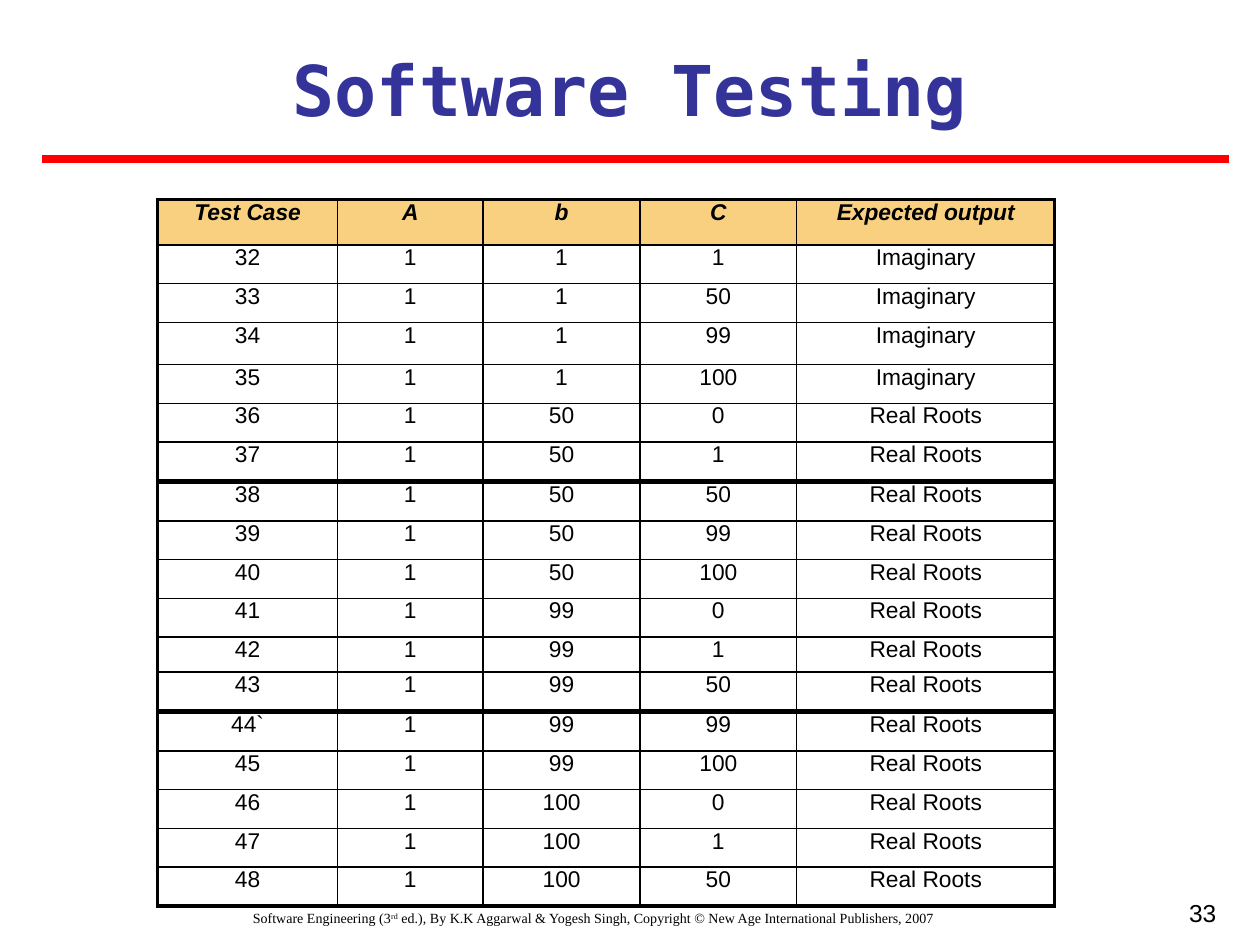
import lxml.etree
import pptx
import pptx.dml.color
import pptx.enum.shapes
import pptx.enum.text
import pptx.oxml.ns
import pptx.util

Cm = pptx.util.Cm
Pt = pptx.util.Pt
ALIGN = pptx.enum.text.PP_ALIGN
qn = pptx.oxml.ns.qn

BLACK = pptx.dml.color.RGBColor(0x00, 0x00, 0x00)
RED = pptx.dml.color.RGBColor(0xFF, 0x00, 0x00)
INDIGO = pptx.dml.color.RGBColor(0x33, 0x33, 0x99)
SAND = pptx.dml.color.RGBColor(0xF8, 0xD0, 0x80)

TABLE_LEFT = 3.18
COLUMN_WIDTHS = [3.62, 2.94, 3.16, 3.16, 5.2]
ROW_HEIGHT = 0.78
THIN, THICK = 1, 2.25

HEADER = ["Test Case", "A", "b", "C", "Expected output"]
FIRST_CASES = [
    HEADER,
    ["32", "1", "1", "1", "Imaginary"],
    ["33", "1", "1", "50", "Imaginary"],
    ["34", "1", "1", "99", "Imaginary"],
    ["35", "1", "1", "100", "Imaginary"],
    ["36", "1", "50", "0", "Real Roots"],
    ["37", "1", "50", "1", "Real Roots"],
]
MIDDLE_CASES = [
    ["38", "1", "50", "50", "Real Roots"],
    ["39", "1", "50", "99", "Real Roots"],
    ["40", "1", "50", "100", "Real Roots"],
    ["41", "1", "99", "0", "Real Roots"],
    ["42", "1", "99", "1", "Real Roots"],
    ["43", "1", "99", "50", "Real Roots"],
]
LAST_CASES = [
    ["44`", "1", "99", "99", "Real Roots"],
    ["45", "1", "99", "100", "Real Roots"],
    ["46", "1", "100", "0", "Real Roots"],
    ["47", "1", "100", "1", "Real Roots"],
    ["48", "1", "100", "50", "Real Roots"],
]


def add_span(para, text, font_name, size, color=BLACK, bold=False, italic=False):
    span = para.add_run()
    span.text = text
    span.font.name = font_name
    span.font.size = Pt(size)
    span.font.color.rgb = color
    span.font.bold = bold
    span.font.italic = italic
    return span


def add_text_para(page, left, top, width, height, align):
    box = page.shapes.add_textbox(Cm(left), Cm(top), Cm(width), Cm(height))
    box.text_frame.word_wrap = True
    para = box.text_frame.paragraphs[0]
    para.alignment = align
    return para


def add_footer(page):
    para = add_text_para(page, 0.64, 18.21, 22.66, 0.84, ALIGN.CENTER)
    add_span(para, "Software Engineering (3", "Times New Roman", 8)
    ordinal = add_span(para, "rd", "Times New Roman", 8)
    ordinal.font._element.set("baseline", "30000")
    add_span(
        para,
        " ed.), By K.K Aggarwal & Yogesh Singh, "
        "Copyright © New Age International Publishers, 2007",
        "Times New Roman",
        8,
    )


def add_rule(page, left, right, height):
    rule = page.shapes.add_connector(
        pptx.enum.shapes.MSO_CONNECTOR.STRAIGHT,
        Cm(left), Cm(height), Cm(right), Cm(height),
    )
    rule.line.color.rgb = RED
    rule.line.width = Pt(4.5)
    lxml.etree.SubElement(rule._element.spPr, qn("a:effectLst"))


def set_borders(cell, left, right, top, bottom):
    properties = cell._tc.get_or_add_tcPr()
    for side, width in zip("LRTB", (left, right, top, bottom)):
        line = lxml.etree.SubElement(properties, qn(f"a:ln{side}"), w=str(Pt(width)))
        fill = lxml.etree.SubElement(line, qn("a:solidFill"))
        lxml.etree.SubElement(fill, qn("a:srgbClr"), val=str(BLACK))


def fill_cell(cell, text, is_header):
    cell.margin_left = cell.margin_right = Cm(0.25)
    cell.margin_top = cell.margin_bottom = 0
    if is_header:
        cell.fill.solid()
        cell.fill.fore_color.rgb = SAND
    else:
        cell.fill.background()
    para = cell.text_frame.paragraphs[0]
    para.alignment = ALIGN.CENTER
    add_span(para, text, "Arial", 13, bold=is_header, italic=is_header)


def add_case_table(page, top, cases, special_heights):
    heights = [special_heights.get(index, ROW_HEIGHT) for index in range(len(cases))]
    table = page.shapes.add_table(
        len(cases), len(COLUMN_WIDTHS),
        Cm(TABLE_LEFT), Cm(top), Cm(sum(COLUMN_WIDTHS)), Cm(sum(heights)),
    ).table
    table.first_row = False
    table.horz_banding = False
    for column, width in zip(table.columns, COLUMN_WIDTHS):
        column.width = Cm(width)
    last_row, last_column = len(cases) - 1, len(COLUMN_WIDTHS) - 1
    for row_index, case in enumerate(cases):
        table.rows[row_index].height = Cm(heights[row_index])
        for column_index, text in enumerate(case):
            cell = table.cell(row_index, column_index)
            set_borders(
                cell,
                left=THICK if column_index == 0 else THIN,
                right=THICK if column_index == last_column else THIN,
                top=THICK if row_index == 0 else THIN,
                bottom=THICK if row_index == last_row else THIN,
            )
            fill_cell(cell, text, case is HEADER)


def main():
    deck = pptx.Presentation()
    deck.slide_width = Cm(25.4)
    deck.slide_height = Cm(19.05)
    page = deck.slides.add_slide(deck.slide_layouts[6])

    add_footer(page)
    number = add_text_para(page, 18.85, 17.98, 5.92, 1.5, ALIGN.RIGHT)
    add_span(number, "33", "Arial", 14)
    title = add_text_para(page, 0.84, 0.81, 23.7, 1.96, ALIGN.CENTER)
    add_span(title, "Software Testing", "DejaVu Sans Mono", 40, INDIGO, bold=True)
    add_rule(page, 0.84, 24.77, 3.2)

    add_case_table(page, 4.02, FIRST_CASES, {0: 0.92, 3: 0.85})
    add_case_table(page, 9.72, MIDDLE_CASES, {4: 0.71})
    add_case_table(page, 14.36, LAST_CASES, {})

    deck.save("out.pptx")


if __name__ == "__main__":
    main()
